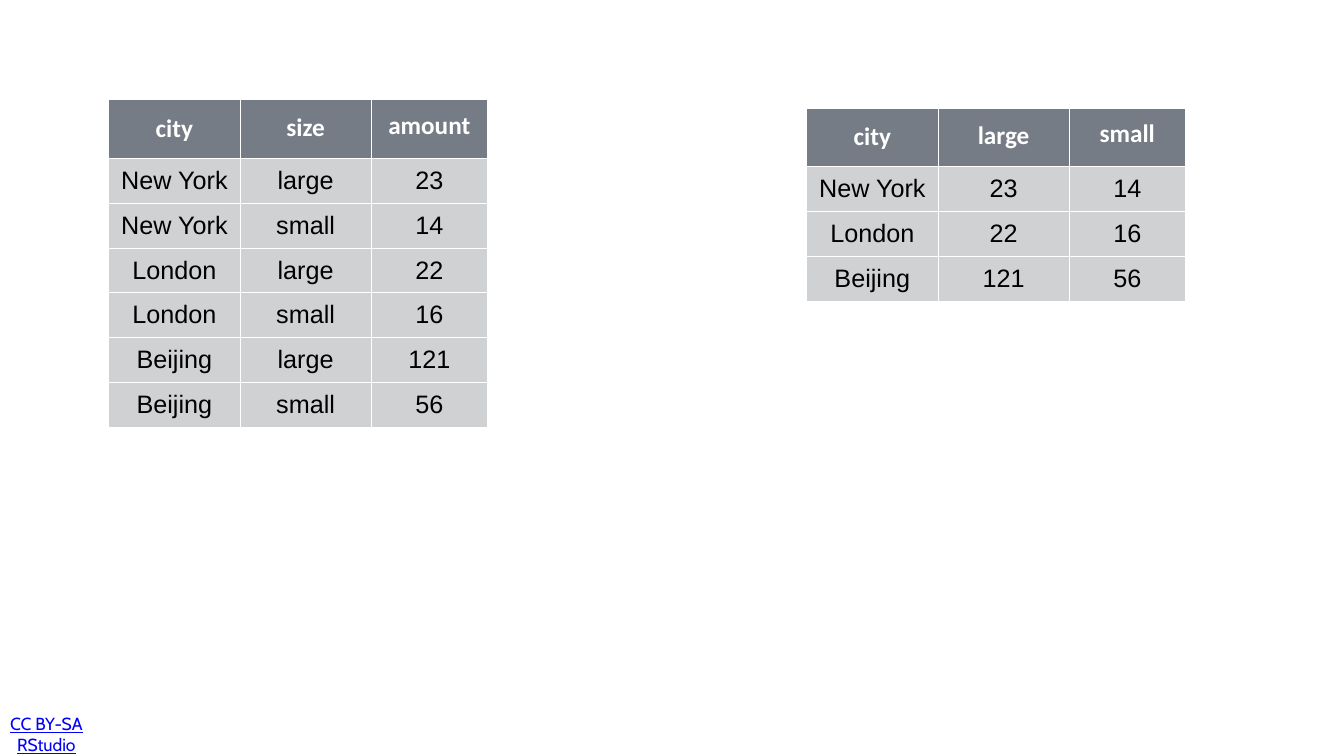
from pptx import Presentation
from pptx.dml.color import RGBColor
from pptx.enum.text import MSO_ANCHOR as Anchor, PP_ALIGN as Align
from pptx.oxml import parse_xml
from pptx.oxml.ns import nsdecls
from pptx.util import Inches, Pt

WHITE = RGBColor(0xFF, 0xFF, 0xFF)
BLACK = RGBColor(0, 0, 0)
HEADER_GREY = RGBColor(0x76, 0x7C, 0x85)
BODY_GREY = RGBColor(0xD0, 0xD1, 0xD2)
LINK_BLUE = RGBColor(0, 0, 0xFF)

COLUMN_WIDTHS = (2.62, 2.59, 2.32)
HEADER_HEIGHT, ROW_HEIGHT = 1.16, 0.89
HEADER_SPACING = (1.0, 0.8, 0.6)

LONG_DATA = [
    ("city", "size", "amount"),
    ("New York", "large", "23"),
    ("New York", "small", "14"),
    ("London", "large", "22"),
    ("London", "small", "16"),
    ("Beijing", "large", "121"),
    ("Beijing", "small", "56"),
]
WIDE_DATA = [
    ("city", "large", "small"),
    ("New York", "23", "14"),
    ("London", "22", "16"),
    ("Beijing", "121", "56"),
]


def set_font(p, name, size, color, bold=False):
    font = p.font
    font.name, font.size, font.bold = name, Pt(size), bold
    font.color.rgb = color


def set_margins(target, inches):
    margin = Inches(inches)
    target.margin_left = target.margin_right = margin
    target.margin_top = target.margin_bottom = margin


def add_borders(cell):
    """Draw a 1 pt line on all four sides; must come before the fill."""
    tc_pr = cell._tc.get_or_add_tcPr()
    for side in ("lnL", "lnR", "lnT", "lnB"):
        tc_pr.append(parse_xml(
            f'<a:{side} {nsdecls("a")} w="{Pt(1)}"><a:solidFill>'
            f'<a:srgbClr val="{WHITE}"/></a:solidFill></a:{side}>'))


def fill_cell(cell, text, is_header, spacing):
    add_borders(cell)
    cell.fill.solid()
    cell.fill.fore_color.rgb = HEADER_GREY if is_header else BODY_GREY
    cell.vertical_anchor = Anchor.MIDDLE
    set_margins(cell, 0.06)
    cell.text = text
    p = cell.text_frame.paragraphs[0]
    p.alignment = Align.CENTER
    p.line_spacing = spacing
    if is_header:
        set_font(p, "Calibri", 36, WHITE, bold=True)
    else:
        set_font(p, "Arial", 36, BLACK)


def add_data_table(s, data, left, top):
    heights = [HEADER_HEIGHT] + [ROW_HEIGHT] * (len(data) - 1)
    table = s.shapes.add_table(
        len(data), len(COLUMN_WIDTHS), Inches(left), Inches(top),
        Inches(sum(COLUMN_WIDTHS)), Inches(sum(heights))).table
    for column, width in zip(table.columns, COLUMN_WIDTHS):
        column.width = Inches(width)
    for i, (values, height) in enumerate(zip(data, heights)):
        table.rows[i].height = Inches(height)
        for j, text in enumerate(values):
            spacing = HEADER_SPACING[j] if i == 0 else 1.0
            fill_cell(table.cell(i, j), text, i == 0, spacing)


def add_license(s):
    sp = s.shapes.add_textbox(Inches(0.12), Inches(14.15), Inches(1.6), Inches(0.84))
    tf = sp.text_frame
    tf.word_wrap = False
    tf.vertical_anchor = Anchor.MIDDLE
    set_margins(tf, 0)
    p = tf.paragraphs[0]
    p.text = "CC BY-SA\vRStudio"
    p.alignment = Align.CENTER
    set_font(p, "Cabin", 25, LINK_BLUE)
    p.font.underline = True


def main():
    prs = Presentation()
    prs.slide_width, prs.slide_height = Inches(26.67), Inches(15)
    s = prs.slides.add_slide(prs.slide_layouts[6])
    add_license(s)
    add_data_table(s, LONG_DATA, 2.15, 1.98)
    add_data_table(s, WIDE_DATA, 16, 2.14)
    prs.save("out.pptx")


if __name__ == "__main__":
    main()
